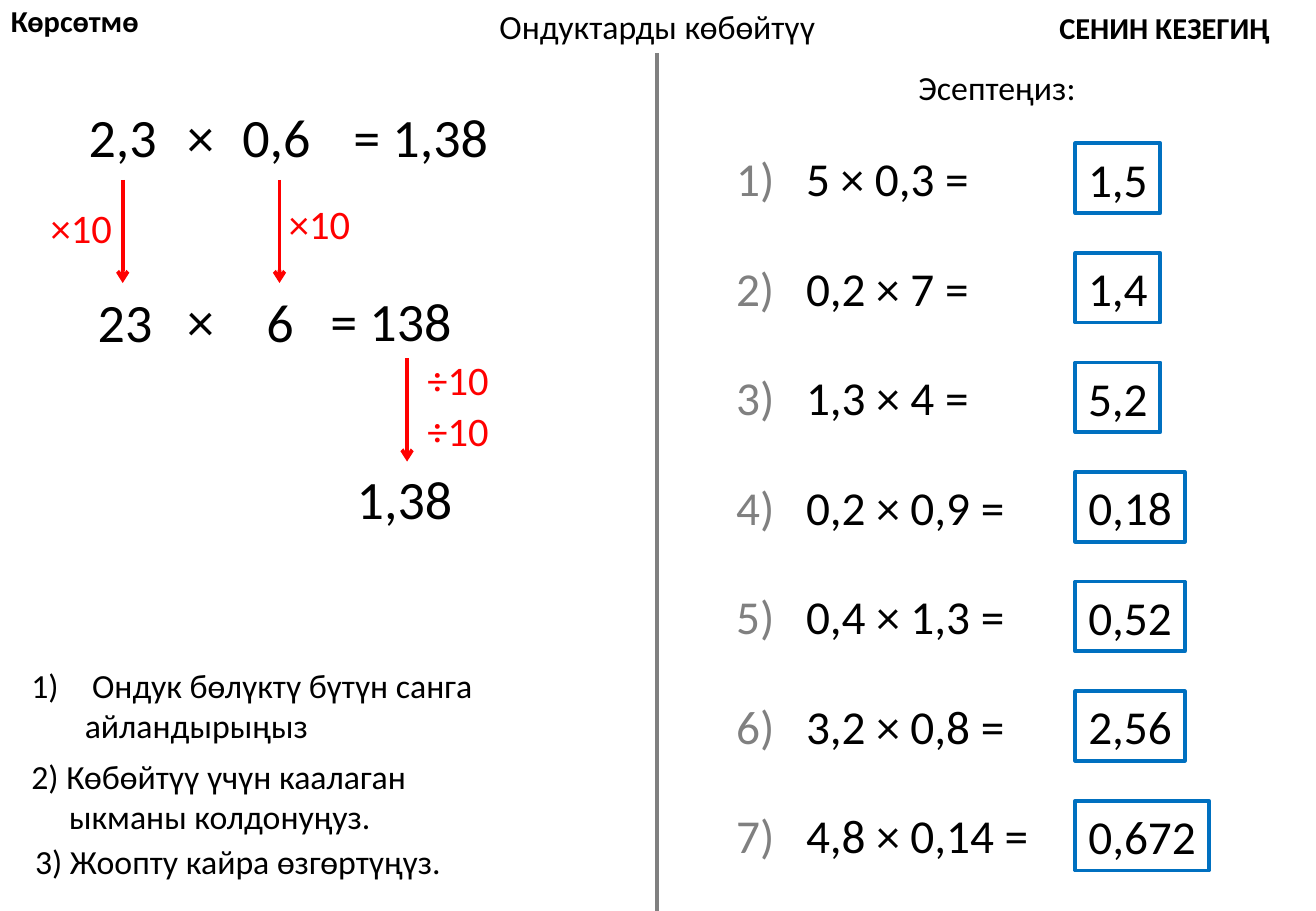
import dataclasses

import lxml.etree
import pptx
import pptx.dml.color
import pptx.enum.shapes
import pptx.enum.text
import pptx.oxml.ns
import pptx.util

ALIGN = pptx.enum.text.PP_ALIGN
LEFT, CENTER, RIGHT = ALIGN.LEFT, ALIGN.CENTER, ALIGN.RIGHT


@dataclasses.dataclass(frozen=True)
class Theme:
    font: str = "Calibri"
    ink: str = "000000"
    paper: str = "FFFFFF"
    muted: str = "808080"
    accent: str = "FF0000"
    frame: str = "0070C0"
    heading: int = 18
    body: int = 20
    factor: int = 24
    exercise: int = 28
    example: int = 32
    stroke: float = 2.25


THEME = Theme()

# Places are columns and rows of a grid of 0.1 inch cells.
CELL = 0.1
COLUMNS, ROWS = 108.3, 75
DIVIDER, DIVIDER_TOP = 54.1, 4.4

TITLE = ("Ондуктарды көбөйтүү", 40, 0, 28.2)
HEADINGS = [("Көрсөтмө", -0.1, -0.3, 13.8), ("СЕНИН КЕЗЕГИҢ", 86.2, 0.3, 22.7)]
PROMPT = ("Эсептеңиз:", 74.5, 5, 15.1)

# text, column, row, width, alignment
EXAMPLE = [
    ("2,3", 6.2, 8, 7.7, RIGHT),
    ("×", 14.3, 8, 4.3, RIGHT),
    ("0,6", 18.9, 8, 7.7, CENTER),
    ("= 1,38", 28.1, 8, 13.3, LEFT),
    ("23", 7, 23.3, 6.6, CENTER),
    ("×", 14.3, 23.2, 4.3, RIGHT),
    ("6", 20.9, 23.3, 4.3, CENTER),
    ("= 138", 26.2, 23.2, 12.1, LEFT),
    ("1,38", 28.3, 37.8, 10, CENTER),
]
FACTORS = [("×10", 3.1, 16.2), ("×10", 22.7, 15.9),
           ("÷10", 34.1, 28.7), ("÷10", 34.1, 32.9)]
FACTOR_WIDTH = 7.1
ARROWS = [(10.1, 14.8), (23, 14.8), (33.5, 29.5)]
ARROW_LENGTH = 8.5

# lines, column, row, width, indent of the second line, numbered by the list
STEPS = [
    (["Ондук бөлүктү бүтүн санга", "айландырыңыз"], 1.6, 54.2, 39.3, 4.4, True),
    (["2) Көбөйтүү үчүн каалаган", "ыкманы колдонуңуз."], 1.6, 61.7, 33.8, 3.1, False),
    (["3) Жоопту кайра өзгөртүңүз."], 1.9, 68.7, 35.7, 0, False),
]
STEP_HANG = 5

# exercise, width, answer
EXERCISES = [
    ("5 × 0,3 =", 21.5, "1,5"),
    ("0,2 × 7 =", 22.4, "1,4"),
    ("1,3 × 4 =", 21.5, "5,2"),
    ("0,2 × 0,9 =", 24.5, "0,18"),
    ("0,4 × 1,3 =", 24.5, "0,52"),
    ("3,2 × 0,8 =", 24.5, "2,56"),
    ("4,8 × 0,14 =", 26.5, "0,672"),
]
EXERCISE_COLUMN, ANSWER_COLUMN = 59.6, 88.5
EXERCISE_TOP, EXERCISE_PITCH, EXERCISE_HANG = 11.8, 9.02, 5.75
ANSWER_WIDTHS = {3: 7, 4: 9, 5: 11}


def cells(count):
    return pptx.util.Inches(count * CELL)


def rgb(colour):
    return pptx.dml.color.RGBColor.from_string(colour)


def height_for(size, lines=1):
    """Rows taken by lines of this type size with the usual insets."""
    return 1 + lines * size * 1.22 / 72 / CELL


def set_hang(para, margin, hang=0):
    properties = para._p.get_or_add_pPr()
    properties.set("marL", str(cells(margin)))
    properties.set("indent", str(-cells(hang)))
    return properties


def style(para, size, colour=THEME.ink, align=LEFT, bold=False):
    para.alignment = align
    font = para.font
    font.name, font.size, font.bold = THEME.font, pptx.util.Pt(size), bold
    font.color.rgb = rgb(colour)


def fit(frame, anchor=pptx.enum.text.MSO_ANCHOR.TOP):
    frame.word_wrap = False
    frame.auto_size = pptx.enum.text.MSO_AUTO_SIZE.SHAPE_TO_FIT_TEXT
    frame.vertical_anchor = anchor


def add_box(page, column, row, width, size, lines=1):
    box = page.shapes.add_textbox(cells(column), cells(row), cells(width),
                                  cells(height_for(size, lines)))
    fit(box.text_frame)
    return box.text_frame


def add_label(page, text, column, row, width, size, **look):
    para = add_box(page, column, row, width, size).paragraphs[0]
    para.text = text
    style(para, size, **look)


def add_line(page, column, top, bottom, colour, arrow=False):
    line = page.shapes.add_connector(pptx.enum.shapes.MSO_CONNECTOR.STRAIGHT,
                                     cells(column), cells(top), cells(column), cells(bottom))
    line.line.color.rgb = rgb(colour)
    line.line.width = pptx.util.Pt(THEME.stroke)
    if arrow:
        lxml.etree.SubElement(line.line._get_or_add_ln(),
                              pptx.oxml.ns.qn("a:tailEnd"), type="arrow")
    lxml.etree.SubElement(line._element.spPr, pptx.oxml.ns.qn("a:effectLst"))


def add_title(page):
    text, column, row, width = TITLE
    title = page.shapes.title
    title.left, title.top = cells(column), cells(row)
    title.width, title.height = cells(width), cells(height_for(THEME.body))
    title.text = text
    fit(title.text_frame)
    style(title.text_frame.paragraphs[0], THEME.body, align=CENTER)


def add_step(page, lines, column, row, width, indent, numbered):
    frame = add_box(page, column, row, width, THEME.body, len(lines))
    for index, text in enumerate(lines):
        para = frame.add_paragraph() if index else frame.paragraphs[0]
        para.text = text
        if index:
            set_hang(para, indent)
        elif numbered:
            properties = set_hang(para, STEP_HANG, STEP_HANG)
            lxml.etree.SubElement(properties, pptx.oxml.ns.qn("a:buFontTx"))
            lxml.etree.SubElement(properties, pptx.oxml.ns.qn("a:buAutoNum"),
                                  type="arabicParenR")
        style(para, THEME.body)


def add_exercise(page, number, row, text, width):
    para = add_box(page, EXERCISE_COLUMN, row, width, THEME.exercise).paragraphs[0]
    set_hang(para, EXERCISE_HANG, EXERCISE_HANG)
    style(para, THEME.exercise)
    for part, colour in ((f"{number})\t", THEME.muted), (text, THEME.ink)):
        span = para.add_run()
        span.text = part
        span.font.color.rgb = rgb(colour)


def add_answer(page, row, text):
    box = page.shapes.add_shape(pptx.enum.shapes.MSO_SHAPE.RECTANGLE,
                                cells(ANSWER_COLUMN), cells(row),
                                cells(ANSWER_WIDTHS[len(text)]),
                                cells(height_for(THEME.exercise)))
    box.shadow.inherit = False
    box.fill.solid()
    box.fill.fore_color.rgb = rgb(THEME.paper)
    box.line.color.rgb = rgb(THEME.frame)
    box.line.width = pptx.util.Pt(THEME.stroke)
    fit(box.text_frame, pptx.enum.text.MSO_ANCHOR.MIDDLE)
    box.text_frame.text = text
    style(box.text_frame.paragraphs[0], THEME.exercise, align=CENTER)


def main():
    deck = pptx.Presentation()
    deck.slide_width, deck.slide_height = cells(COLUMNS), cells(ROWS)
    page = deck.slides.add_slide(deck.slide_layouts.get_by_name("Title Only"))
    add_title(page)
    for heading in HEADINGS:
        add_label(page, *heading, THEME.heading, bold=True)
    add_label(page, *PROMPT, THEME.body, align=CENTER)
    add_line(page, DIVIDER, DIVIDER_TOP, ROWS, THEME.muted)
    for *place, align in EXAMPLE:
        add_label(page, *place, THEME.example, align=align)
    for factor in FACTORS:
        add_label(page, *factor, FACTOR_WIDTH, THEME.factor, colour=THEME.accent, align=RIGHT)
    for column, top in ARROWS:
        add_line(page, column, top, top + ARROW_LENGTH, THEME.accent, arrow=True)
    for step in STEPS:
        add_step(page, *step)
    for index, (text, width, answer) in enumerate(EXERCISES):
        row = EXERCISE_TOP + index * EXERCISE_PITCH
        add_exercise(page, index + 1, row, text, width)
        add_answer(page, row, answer)
    deck.save("out.pptx")


if __name__ == "__main__":
    main()
